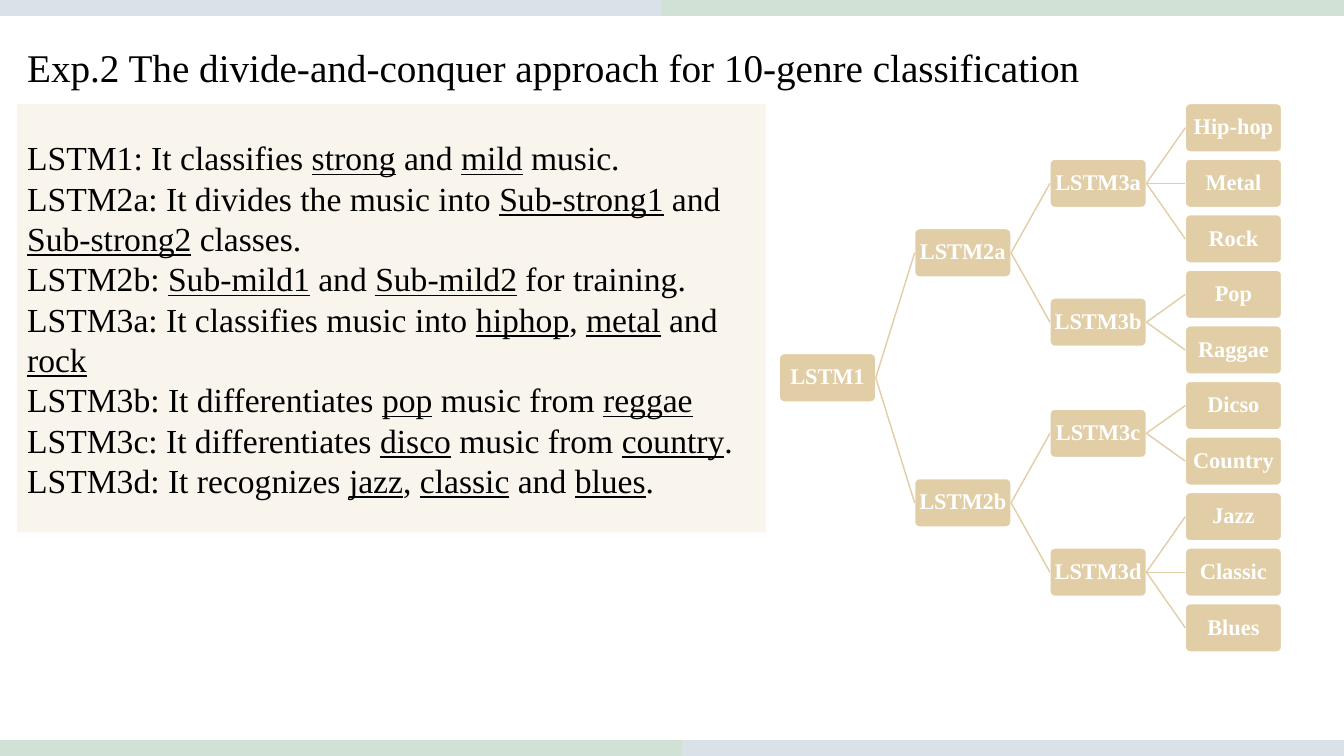
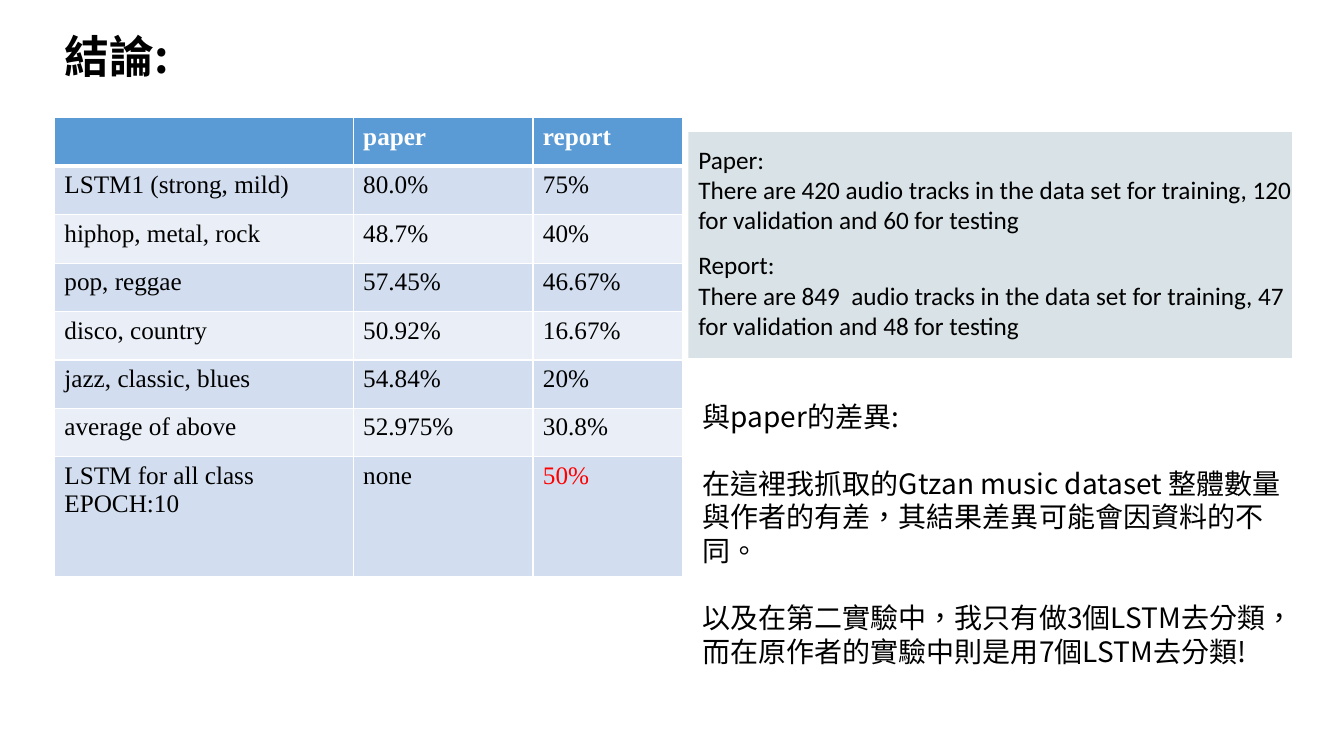
from lxml import etree
from pptx import Presentation
from pptx.dml.color import RGBColor
from pptx.enum.shapes import MSO_CONNECTOR, MSO_SHAPE
from pptx.enum.text import MSO_ANCHOR, MSO_AUTO_SIZE, PP_ALIGN
from pptx.oxml.ns import qn
from pptx.util import Cm, Pt

RECT, ROUND = MSO_SHAPE.RECTANGLE, MSO_SHAPE.ROUNDED_RECTANGLE
LINE = MSO_CONNECTOR.STRAIGHT
TOP, MIDDLE = MSO_ANCHOR.TOP, MSO_ANCHOR.MIDDLE
LEFT, CENTER = PP_ALIGN.LEFT, PP_ALIGN.CENTER
FIXED = MSO_AUTO_SIZE.NONE

WIDE, HIGH = 33.87, 19.05
SAND, NAVY, GREEN = "E1CEA6", "003D59", "C5E0B4"
BLUE, PALE, LIGHT = "5B9BD5", "D2DEEF", "EAEFF7"
WHITE, BLACK, RED = "FFFFFF", "000000", "FF0000"
SERIF, SANS, HAN = "Times New Roman", "Calibri", "Noto Sans CJK SC"

BAND, HALF = 0.4, 17.2
BANDS = [
    (0, 0, WIDE, NAVY, 15),
    (WIDE - HALF, 0, HALF, GREEN, 30),
    (0, HIGH - BAND, WIDE, NAVY, 15),
    (0, HIGH - BAND, HALF, GREEN, 30),
]

MODELS = [
    "LSTM1: It classifies _strong_ and _mild_ music.",
    "LSTM2a: It divides the music into _Sub-strong1_ and _Sub-strong2_ classes.",
    "LSTM2b: _Sub-mild1_ and _Sub-mild2_ for training.",
    "LSTM3a: It classifies music into _hiphop_, _metal_ and _rock_",
    "LSTM3b: It differentiates _pop_ music from _reggae_",
    "LSTM3c: It differentiates _disco_ music from _country_.",
    "LSTM3d: It recognizes _jazz_, _classic_ and _blues_.",
]

TREE = ("LSTM1", [
    ("LSTM2a", [
        ("LSTM3a", [("Hip-hop", []), ("Metal", []), ("Rock", [])]),
        ("LSTM3b", [("Pop", []), ("Raggae", [])]),
    ]),
    ("LSTM2b", [
        ("LSTM3c", [("Dicso", []), ("Country", [])]),
        ("LSTM3d", [("Jazz", []), ("Classic", []), ("Blues", [])]),
    ]),
])
NODE_W, NODE_H = 2.43, 1.22
TREE_X, TREE_Y, STEP_X, STEP_Y = 19.64, 2.61, 3.41, 1.4

SCORES = [
    ("", "paper", "report"),
    ("LSTM1 (strong, mild)", "80.0%", "75%"),
    ("hiphop, metal, rock", "48.7%", "40%"),
    ("pop, reggae", "57.45%", "46.67%"),
    ("disco, country", "50.92%", "16.67%"),
    ("jazz, classic, blues", "54.84%", "20%"),
    ("average of above", "52.975%", "30.8%"),
    ("LSTM for all class\nEPOCH:10", "none", "50%"),
]
COLS = [7.53, 4.53, 3.77]
ROWS = [1.22] * 7 + [3.03]

DATA = [
    (3.51, 15.8, ["Paper:", "There are 420 audio tracks in the data set for training, 120 for validation and 60 for testing"]),
    (6.17, 15.54, ["Report:", "There are 849  audio tracks in the data set for training, 47 for validation and 48 for testing"]),
]
NOTES = [
    "與paper的差異:",
    "在這裡我抓取的Gtzan music dataset 整體數量與作者的有差，其結果差異可能會因資料的不同。",
    "以及在第二實驗中，我只有做3個LSTM去分類，而在原作者的實驗中則是用7個LSTM去分類!",
]


def rgb(code):
    """Turn a hex string into a colour."""
    return RGBColor.from_string(code)


def place(shape, x, y, w, h):
    """Move and size a shape in centimetres."""
    shape.left, shape.top, shape.width, shape.height = Cm(x), Cm(y), Cm(w), Cm(h)


def style(frame, size, font, color=BLACK, bold=False, align=LEFT):
    """Format every paragraph and run of a text frame."""
    for para in frame.paragraphs:
        para.alignment = align
        for run in para.runs:
            run.font.size, run.font.name, run.font.bold = Pt(size), font, bold
            run.font.color.rgb = rgb(color)
            props = run._r.get_or_add_rPr()
            etree.SubElement(props, qn("a:ea"), typeface=font)
            props.set("lang", "zh-TW" if font == HAN else "en-US")


def block(slide, kind, x, y, w, h, color, alpha=100):
    """Draw a filled shape without outline."""
    shape = slide.shapes.add_shape(kind, Cm(x), Cm(y), Cm(w), Cm(h))
    shape.shadow.inherit = False
    shape.line.fill.background()
    shape.fill.solid()
    shape.fill.fore_color.rgb = rgb(color)
    if alpha < 100:
        tint = shape._element.spPr.find(qn("a:solidFill"))[0]
        etree.SubElement(tint, qn("a:alpha"), val=str(alpha * 1000))
    return shape


def title(slide, text, area, size, font, bold=False):
    """Fill and place the title."""
    holder = slide.shapes.title
    place(holder, *area)
    frame = holder.text_frame
    frame.text = text
    frame.auto_size, frame.vertical_anchor = FIXED, TOP
    style(frame, size, font, bold=bold)
    return frame


def body(slide, lines, area, size, font):
    """Fill the body with plain lines, underlining text between underscores."""
    holder = slide.placeholders[1]
    place(holder, *area)
    frame = holder.text_frame
    frame.auto_size = FIXED
    for i, line in enumerate(lines):
        para = frame.add_paragraph() if i else frame.paragraphs[0]
        para.space_before = Pt(0)
        props = para._p.get_or_add_pPr()
        props.set("marL", "0")
        props.set("indent", "0")
        etree.SubElement(props, qn("a:buNone"))
        for j, part in enumerate(line.split("_")):
            if part:
                run = para.add_run()
                run.text = part
                run.font.underline = j % 2 == 1
    style(frame, size, font)
    return frame


def node(slide, item, level=0, row=0):
    """Draw a branch and return its box, its row and the next free row."""
    name, kids = item
    parts, free = [], row
    for kid in kids:
        box, spot, free = node(slide, kid, level + 1, free)
        parts.append((box, spot))
    if parts:
        row = (parts[0][1] + parts[-1][1]) / 2
    else:
        free = row + 1
    box = block(slide, ROUND, TREE_X + level * STEP_X, TREE_Y + row * STEP_Y, NODE_W, NODE_H, SAND)
    box.adjustments[0] = 0.1
    box.line.color.rgb, box.line.width = rgb(WHITE), Pt(1)
    frame = box.text_frame
    frame.text = name
    frame.word_wrap, frame.vertical_anchor = False, MIDDLE
    frame.margin_left = frame.margin_right = frame.margin_top = frame.margin_bottom = Cm(0.03)
    frame.paragraphs[0].line_spacing = 0.9
    style(frame, 16, SERIF, WHITE, True, CENTER)
    for kid, _ in parts:
        link = slide.shapes.add_connector(LINE, 0, 0, 0, 0)
        link.begin_connect(box, 3)
        link.end_connect(kid, 1)
        link.line.color.rgb, link.line.width = rgb(SAND), Pt(1)
        etree.SubElement(link._element.spPr, qn("a:effectLst"))
    return box, row, free


def edge(cell, side, width):
    """Give one side of a cell a white border."""
    props = cell._tc.get_or_add_tcPr()
    line = etree.SubElement(props, qn("a:ln" + side), w=str(Pt(width)))
    fill = etree.SubElement(line, qn("a:solidFill"))
    etree.SubElement(fill, qn("a:srgbClr"), val=WHITE)


def table(slide, x, y):
    """Draw the score table."""
    grid = slide.shapes.add_table(len(ROWS), len(COLS), Cm(x), Cm(y), Cm(sum(COLS)), Cm(sum(ROWS))).table
    for col, w in zip(grid.columns, COLS):
        col.width = Cm(w)
    for r, (h, row) in enumerate(zip(ROWS, SCORES)):
        grid.rows[r].height = Cm(h)
        for c, text in enumerate(row):
            cell = grid.cell(r, c)
            for side in "LRTB":
                edge(cell, side, 3 if (r, side) in [(0, "B"), (1, "T")] else 1)
            cell.fill.solid()
            cell.fill.fore_color.rgb = rgb(BLUE if r == 0 else PALE if r % 2 else LIGHT)
            cell.text_frame.text = text
            color = WHITE if r == 0 else RED if text == "50%" else BLACK
            style(cell.text_frame, 18, SERIF, color, r == 0)


def genres(slide):
    """Build the slide on the tree of classifiers."""
    for x, y, w, color, alpha in BANDS:
        block(slide, RECT, x, y, w, BAND, color, alpha)
    panel = block(slide, RECT, 0.43, 2.62, 18.87, 10.8, SAND, 20)
    slide.shapes._spTree.insert(2, panel._element)
    title(slide, "Exp.2 The divide-and-conquer approach for 10-genre classification",
          (0.43, 0.97, 31.5, 1.45), 28, SERIF)
    body(slide, MODELS, (0.43, 3.33, 18.39, 9.5), 24, SERIF)
    node(slide, TREE)


def ending(slide):
    """Build the slide with the conclusion."""
    head = title(slide, "結論:", (1.37, 0.53, 11.05, 1.63), 32, HAN, True)
    head.paragraphs[0].line_spacing = Pt(40)
    table(slide, 1.37, 2.97)
    block(slide, RECT, 17.35, 3.33, 15.21, 5.69, NAVY, 15)
    for y, w, lines in DATA:
        frame = slide.shapes.add_textbox(Cm(17.35), Cm(y), Cm(w), Cm(2.57)).text_frame
        frame.word_wrap = True
        frame.text = "\n".join(lines)
        style(frame, 18, SANS)
    notes = body(slide, NOTES, (17.45, 9.93, 15.14, 8.2), 20, HAN)
    for i, para in enumerate(notes.paragraphs):
        para.line_spacing = Pt(24)
        para.space_before = Pt(24 if i else 0)


def main():
    """Build and save the deck."""
    deck = Presentation()
    deck.slide_width, deck.slide_height = Cm(WIDE), Cm(HIGH)
    for build in (genres, ending):
        build(deck.slides.add_slide(deck.slide_layouts[1]))
    deck.save("out.pptx")


if __name__ == "__main__":
    main()
